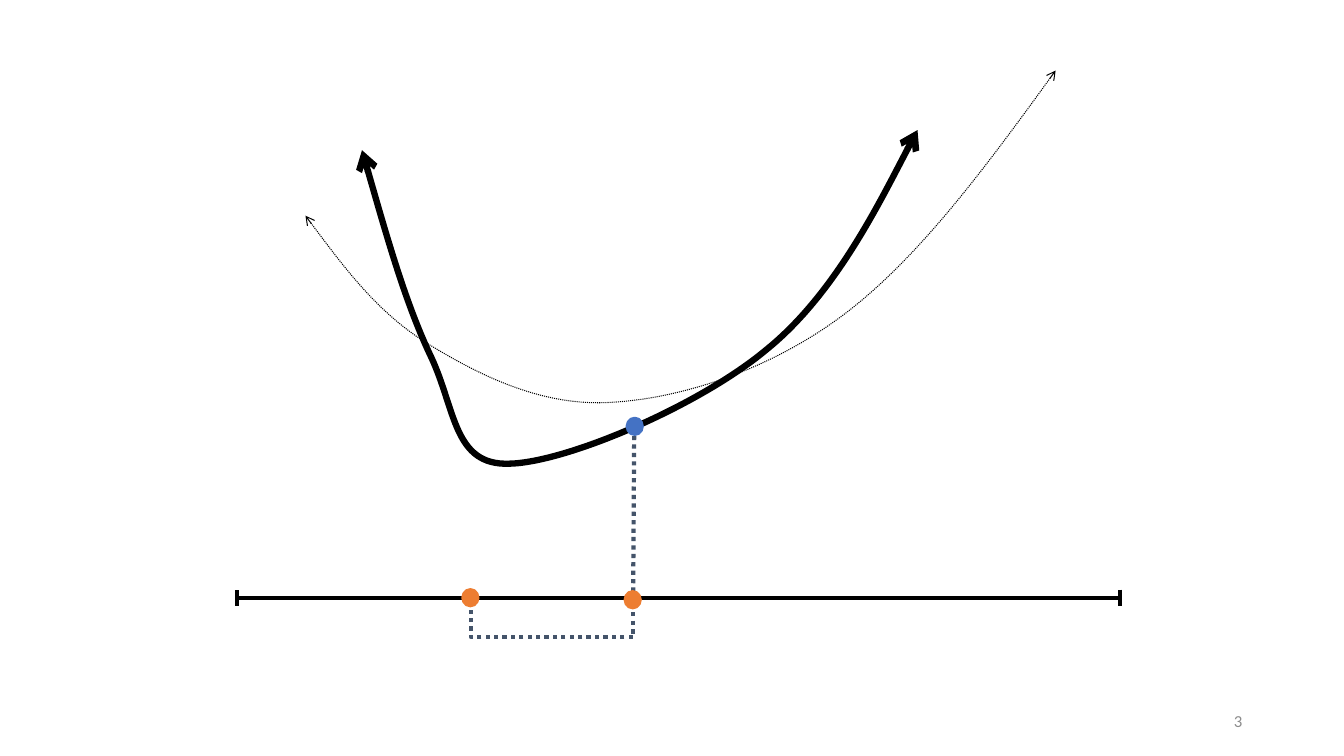
"""Build a slide with two curves above a number line with marked points."""
from pptx import Presentation
from pptx.dml.color import RGBColor
from pptx.enum.dml import MSO_LINE
from pptx.enum.shapes import MSO_CONNECTOR, MSO_SHAPE
from pptx.enum.text import MSO_ANCHOR, PP_ALIGN
from pptx.oxml.ns import qn
from pptx.util import Inches, Pt
from lxml.etree import SubElement

COLORS = {"black": "000000", "slate": "44546A", "orange": "ED7D31",
          "blue": "4472C4", "gray": "8C8C8C"}


def set_line(s, color, width, dotted=False, arrows=False):
    s.line.color.rgb = RGBColor.from_string(COLORS[color])
    s.line.width = Pt(width)
    if dotted:
        s.line.dash_style = MSO_LINE.ROUND_DOT
    if arrows:
        for end in ("a:headEnd", "a:tailEnd"):
            SubElement(s.line._get_or_add_ln(), qn(end), type="arrow")


def add_text(text, left, top, width, height, size, color, font, align):
    tf = shapes.add_textbox(Inches(left), Inches(top), Inches(width), Inches(height)).text_frame
    tf.word_wrap = True
    tf.vertical_anchor = MSO_ANCHOR.MIDDLE
    p = tf.paragraphs[0]
    p.alignment = align
    r = p.add_run()
    r.text = text
    r.font.size = Pt(size)
    r.font.name = font
    r.font.color.rgb = RGBColor.from_string(COLORS[color])


prs = Presentation()
prs.slide_width, prs.slide_height = Inches(13.33), Inches(7.5)
shapes = prs.slides.add_slide(prs.slide_layouts[6]).shapes

lines = [(2.35, 5.93, 11.12, 5.93, "black", False),
         (6.28, 5.87, 6.29, 4.32, "slate", True)]
brackets = [
    (MSO_SHAPE.DOUBLE_BRACKET, 2.35, 5.85, 8.76, 0.16, 0, "black", False),
    (MSO_SHAPE.RIGHT_BRACKET, 5.31, 5.35, 0.33, 1.61, 90, "slate", True),
]
thin_curve = [(3.03, 2.14), (3.39, 2.62), (3.75, 3.11), (4.26, 3.42),
              (4.77, 3.73), (5.39, 4.04), (6.08, 3.99),
              (6.76, 3.95), (7.64, 3.67), (8.37, 3.12),
              (9.1, 2.57), (9.79, 1.64), (10.47, 0.7)]
bold_curve = [(3.59, 1.49), (3.81, 2.26), (4.03, 3.03), (4.28, 3.55),
              (4.52, 4.07), (4.5, 4.62), (5.05, 4.6),
              (5.61, 4.59), (6.93, 4.03), (7.6, 3.47),
              (8.28, 2.92), (8.83, 1.8), (9.1, 1.29)]
dots = [(4.59, 5.85, "orange"), (6.2, 5.87, "orange"), (6.22, 4.15, "blue")]

for kind, left, top, width, height, rotation, color, dotted in brackets:
    s = shapes.add_shape(kind, Inches(left), Inches(top), Inches(width), Inches(height))
    s.adjustments[0] = 0
    s.rotation = rotation
    s.shadow.inherit = False
    s.fill.background()
    set_line(s, color, 3, dotted)

for curve, width, dotted in ((thin_curve, 0.75, True), (bold_curve, 4.5, False)):
    points = [(Inches(x), Inches(y)) for x, y in curve]
    builder = shapes.build_freeform(*points[0])
    builder.add_line_segments(points[3::3], close=False)
    s = builder.convert_to_shape()
    for i, segment in enumerate(list(s._element.iter(qn("a:lnTo")))):
        segment.tag = qn("a:cubicBezTo")
        for k, (x, y) in enumerate(points[3 * i + 1:3 * i + 3]):
            pt = SubElement(segment, qn("a:pt"), x=str(x - s.left), y=str(y - s.top))
            segment.insert(k, pt)
    s.shadow.inherit = False
    s.fill.background()
    set_line(s, "black", width, dotted, arrows=True)

for x1, y1, x2, y2, color, dotted in lines:
    s = shapes.add_connector(MSO_CONNECTOR.STRAIGHT, Inches(x1), Inches(y1), Inches(x2), Inches(y2))
    set_line(s, color, 3, dotted)
    SubElement(s._element.spPr, qn("a:effectLst"))

for left, top, color in dots:
    s = shapes.add_shape(MSO_SHAPE.OVAL, Inches(left), Inches(top), Inches(0.15), Inches(0.16))
    s.shadow.inherit = False
    s.fill.solid()
    s.fill.fore_color.rgb = RGBColor.from_string(COLORS[color])
    set_line(s, color, 2.25)

add_text("3", left=9.42, top=6.95, width=3, height=0.4, size=12,
         color="gray", font="Calibri", align=PP_ALIGN.RIGHT)

prs.save("out.pptx")
